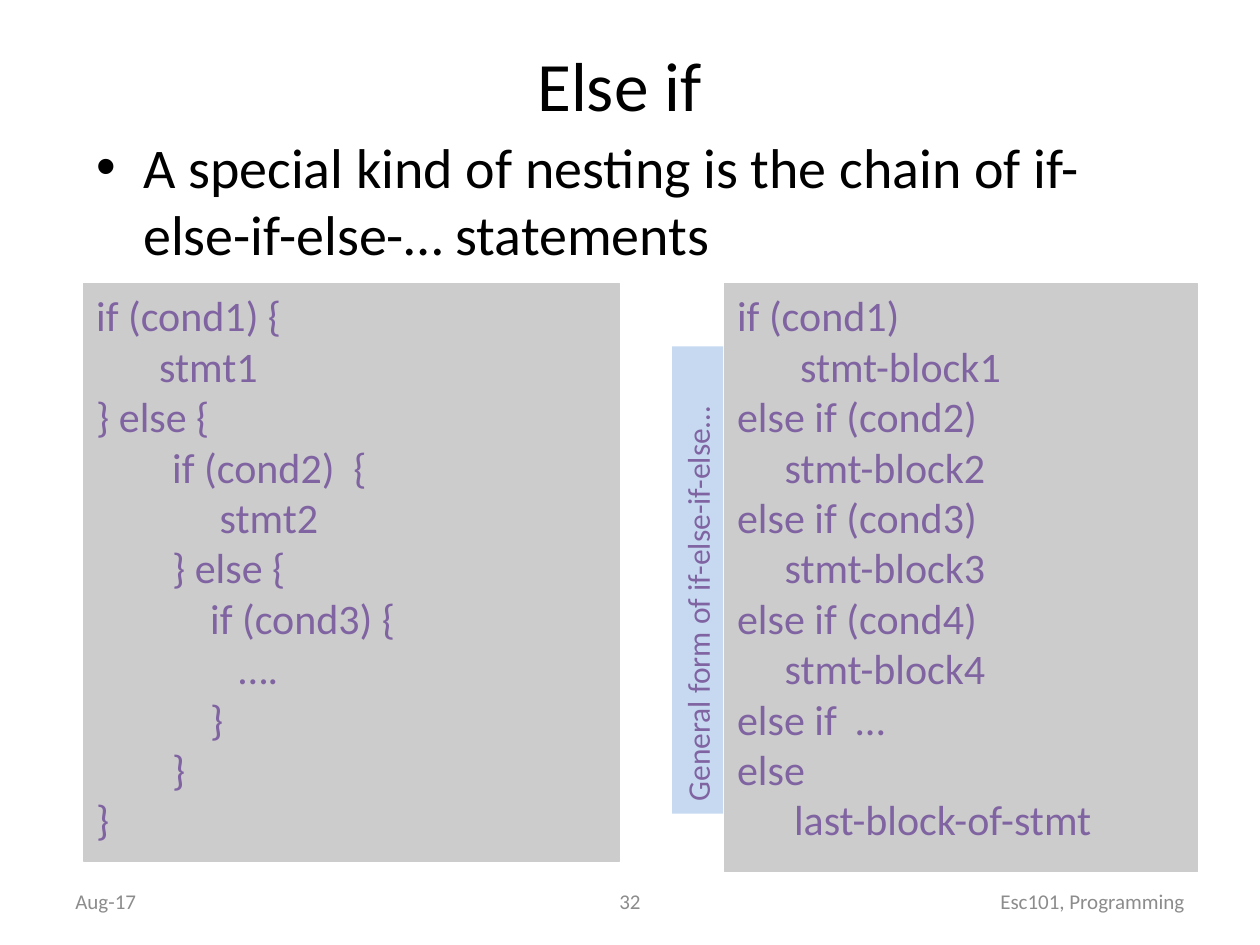
import dataclasses

import lxml.etree
import pptx
import pptx.dml.color
import pptx.enum.shapes
import pptx.enum.text
import pptx.oxml.ns
import pptx.util

Cm = pptx.util.Cm
RGBColor = pptx.dml.color.RGBColor
ALIGN = pptx.enum.text.PP_ALIGN
ANCHOR = pptx.enum.text.MSO_ANCHOR

FONT = "Calibri"
BLACK = RGBColor(0x00, 0x00, 0x00)
FOOTER_GRAY = RGBColor(0x8C, 0x8C, 0x8C)
PANEL_GRAY = RGBColor(0xCC, 0xCC, 0xCC)
LABEL_BLUE = RGBColor(0xC6, 0xD9, 0xF1)
CODE_PURPLE = RGBColor(0x80, 0x64, 0xA2)

NESTED_CODE = """if (cond1) {
\tstmt1
} else {
        if (cond2)  {
             stmt2
        } else {
            if (cond3) {
               ….
            }
        }
}"""

CHAIN_CODE = """if (cond1)
\tstmt-block1
else if (cond2)
     stmt-block2
else if (cond3)
     stmt-block3
else if (cond4)
     stmt-block4
else if  …
else
      last-block-of-stmt"""


@dataclasses.dataclass
class Box:
    """A rectangle on the slide, in centimetres."""

    left: float
    top: float
    width: float
    height: float

    def lengths(self):
        """Return the four measures as slide lengths."""
        return [Cm(value) for value in dataclasses.astuple(self)]


def write_text(shape, text, size, color, align=ALIGN.LEFT, anchor=ANCHOR.TOP):
    """Fill a shape with evenly formatted text."""
    text_frame = shape.text_frame
    text_frame.text = text
    text_frame.word_wrap = True
    text_frame.vertical_anchor = anchor
    for paragraph in text_frame.paragraphs:
        paragraph.alignment = align
        for run in paragraph.runs:
            run.font.name = FONT
            run.font.size = pptx.util.Pt(size)
            run.font.color.rgb = color


def add_text(slide, box, text, size, color, align=ALIGN.LEFT, anchor=ANCHOR.MIDDLE):
    """Add a text box and return it."""
    shape = slide.shapes.add_textbox(*box.lengths())
    write_text(shape, text, size, color, align, anchor)
    return shape


def add_panel(slide, box, fill_color):
    """Add a plain filled rectangle without outline."""
    shape = slide.shapes.add_shape(
        pptx.enum.shapes.MSO_SHAPE.RECTANGLE, *box.lengths()
    )
    shape.shadow.inherit = False
    shape.fill.solid()
    shape.fill.fore_color.rgb = fill_color
    shape.line.fill.background()
    return shape


def add_bullet_text(slide, box, text):
    """Add the introductory bullet with a hanging indent."""
    shape = add_text(slide, box, text, 32, BLACK, anchor=ANCHOR.TOP)
    for paragraph in shape.text_frame.paragraphs:
        properties = paragraph._p.get_or_add_pPr()
        properties.set("marL", str(Cm(0.95)))
        properties.set("indent", str(-Cm(0.95)))
        font = lxml.etree.SubElement(properties, pptx.oxml.ns.qn("a:buFont"))
        font.set("typeface", "Arial")
        bullet = lxml.etree.SubElement(properties, pptx.oxml.ns.qn("a:buChar"))
        bullet.set("char", "•")


def add_code_panel(slide, box, code):
    """Add a gray panel holding a code listing."""
    shape = add_panel(slide, box, PANEL_GRAY)
    shape.line.color.rgb = PANEL_GRAY
    shape.line.width = pptx.util.Pt(0.75)
    write_text(shape, code, 24, CODE_PURPLE)


def add_side_label(slide, box, text):
    """Add a label that reads upwards inside a tall box."""
    turned = Box(
        box.left + (box.width - box.height) / 2,
        box.top + (box.height - box.width) / 2,
        box.height,
        box.width,
    )
    shape = add_panel(slide, turned, LABEL_BLUE)
    shape.rotation = 270
    write_text(shape, text, 18, CODE_PURPLE)
    shape.text_frame.word_wrap = False
    shape.text_frame.auto_size = pptx.enum.text.MSO_AUTO_SIZE.SHAPE_TO_FIT_TEXT


def add_footer(slide, box, date, number, course):
    """Add date, slide number and course name along the footer box."""
    side, middle = 5.92, 8.05
    parts = [
        (0, side, date, ALIGN.LEFT),
        ((box.width - middle) / 2, middle, number, ALIGN.CENTER),
        (box.width - side, side, course, ALIGN.RIGHT),
    ]
    for offset, width, text, align in parts:
        part = Box(box.left + offset, box.top, width, box.height)
        add_text(slide, part, text, 12, FOOTER_GRAY, align)


def main():
    """Build the slide and save it."""
    presentation = pptx.Presentation()
    presentation.slide_width = Cm(25.4)
    presentation.slide_height = Cm(19.05)
    slide = presentation.slides.add_slide(presentation.slide_layouts[6])

    add_text(slide, Box(1.69, 0.85, 21.59, 1.69), "Else if", 39.6, BLACK, ALIGN.CENTER)
    add_bullet_text(
        slide,
        Box(1.69, 2.54, 22.23, 5.08),
        "A special kind of nesting is the chain of if-else-if-else-… statements",
    )
    add_footer(
        slide, Box(1.27, 17.65, 22.86, 1.02), "Aug-17", "32", "Esc101, Programming"
    )
    add_code_panel(slide, Box(14.61, 5.72, 9.53, 11.85), CHAIN_CODE)
    add_code_panel(slide, Box(1.69, 5.72, 10.8, 11.64), NESTED_CODE)
    add_side_label(
        slide, Box(13.55, 6.98, 1.03, 9.42), "General form of if-else-if-else…"
    )
    presentation.save("out.pptx")


if __name__ == "__main__":
    main()
